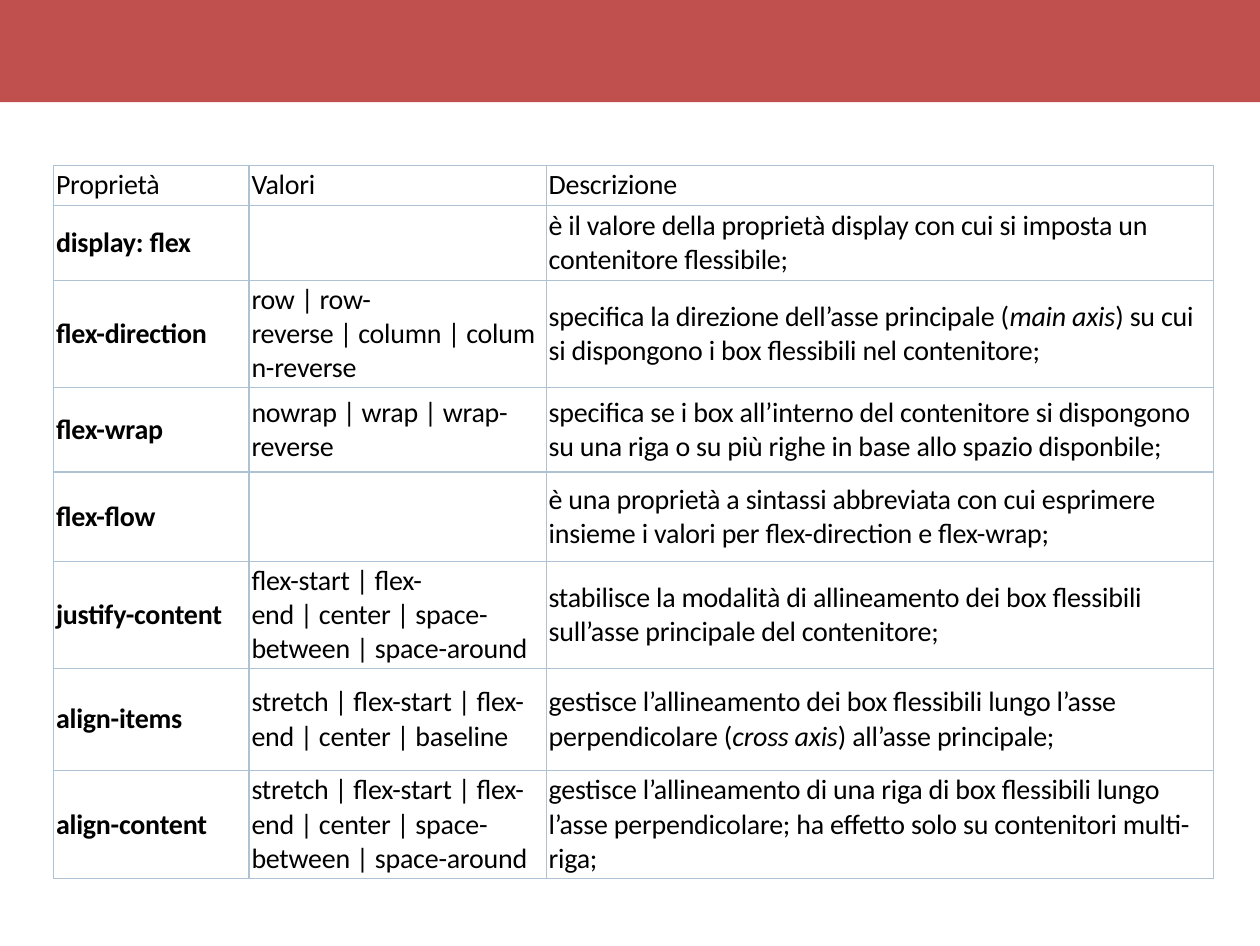
import pptx
import pptx.dml.color
import pptx.enum.shapes
import pptx.enum.text
import pptx.oxml
import pptx.oxml.ns
import pptx.util

Cm = pptx.util.Cm
Pt = pptx.util.Pt
RED = pptx.dml.color.RGBColor(0xC0, 0x50, 0x4D)
BLACK = pptx.dml.color.RGBColor(0, 0, 0)
BORDER = pptx.dml.color.RGBColor(0xAE, 0xC2, 0xD4)
FONT = "Calibri"
ITALIC_MARK = "*"

HEADINGS = (["Proprietà"], ["Valori"], ["Descrizione"])
PROPERTIES = [
    (["display: flex"], [],
     ["è il valore della proprietà display con cui si imposta un",
      "contenitore flessibile;"]),
    (["flex-direction"],
     ["row | row-", "reverse | column | colum n-reverse"],
     ["specifica la direzione dell’asse principale (*main axis*) su cui",
      "si dispongono i box flessibili nel contenitore;"]),
    (["flex-wrap"],
     ["nowrap | wrap | wrap-", "reverse"],
     ["specifica se i box all’interno del contenitore si dispongono",
      "su una riga o su più righe in base allo spazio disponbile;"]),
    (["flex-flow"], [],
     ["è una proprietà a sintassi abbreviata con cui esprimere",
      "insieme i valori per flex-direction e flex-wrap;"]),
    (["justify-content"],
     ["flex-start | flex-", "end | center | space-", "between | space-around"],
     ["stabilisce la modalità di allineamento dei box flessibili",
      "sull’asse principale del contenitore;"]),
    (["align-items"],
     ["stretch | flex-start | flex-", "end | center | baseline"],
     ["gestisce l’allineamento dei box flessibili lungo l’asse",
      "perpendicolare (*cross axis*) all’asse principale;"]),
    (["align-content"],
     ["stretch | flex-start | flex-end | center | space-between | space-around"],
     ["gestisce l’allineamento di una riga di box flessibili lungo "
      "l’asse perpendicolare; ha effetto solo su contenitori multi-riga;"]),
]
COLUMN_WIDTHS = [3.94, 5.99, 13.46]
ROW_HEIGHTS = [0.81, 1.52, 2.16, 1.7, 1.8, 2.16, 2.06, 2.18]


def add_borders(cell):
    properties = cell._tc.get_or_add_tcPr()
    for index, side in enumerate(("lnL", "lnR", "lnT", "lnB")):
        line = pptx.oxml.parse_xml(
            f'<a:{side} {pptx.oxml.ns.nsdecls("a")} w="{Pt(0.75)}">'
            f'<a:solidFill><a:srgbClr val="{BORDER}"/></a:solidFill></a:{side}>')
        properties.insert(index, line)


def write_lines(frame, lines, bold):
    for index, line in enumerate(lines):
        para = frame.add_paragraph() if index else frame.paragraphs[0]
        for position, text in enumerate(line.split(ITALIC_MARK)):
            span = para.add_run()
            span.text = text
            span.font.name = FONT
            span.font.size = Pt(16)
            span.font.bold = bold
            span.font.italic = position % 2 == 1
            span.font.color.rgb = BLACK
            span._r.get_or_add_rPr().set("spc", "-10")


def add_property_table(page):
    rows = [HEADINGS] + PROPERTIES
    table = page.shapes.add_table(
        len(rows), len(COLUMN_WIDTHS), Cm(1.08), Cm(3.33),
        Cm(sum(COLUMN_WIDTHS)), Cm(sum(ROW_HEIGHTS))).table
    table.first_row = False
    table.horz_banding = False
    for column, width in zip(table.columns, COLUMN_WIDTHS):
        column.width = Cm(width)
    for row_index, (row, height) in enumerate(zip(rows, ROW_HEIGHTS)):
        table.rows[row_index].height = Cm(height)
        for column_index, lines in enumerate(row):
            cell = table.cell(row_index, column_index)
            cell.fill.background()
            cell.margin_left = Cm(0.05)
            cell.margin_right = cell.margin_top = cell.margin_bottom = 0
            cell.vertical_anchor = pptx.enum.text.MSO_ANCHOR.MIDDLE
            add_borders(cell)
            write_lines(cell.text_frame, lines, row_index > 0 and column_index == 0)


def add_header_band(page, width):
    band = page.shapes.add_shape(
        pptx.enum.shapes.MSO_SHAPE.RECTANGLE, 0, 0, width, Cm(2.06))
    band.shadow.inherit = False
    band.fill.solid()
    band.fill.fore_color.rgb = RED
    band.line.fill.background()


def main():
    deck = pptx.Presentation()
    deck.slide_width = Cm(25.4)
    deck.slide_height = Cm(19.08)
    page = deck.slides.add_slide(deck.slide_layouts[6])
    add_property_table(page)
    add_header_band(page, deck.slide_width)
    deck.save("out.pptx")


if __name__ == "__main__":
    main()
